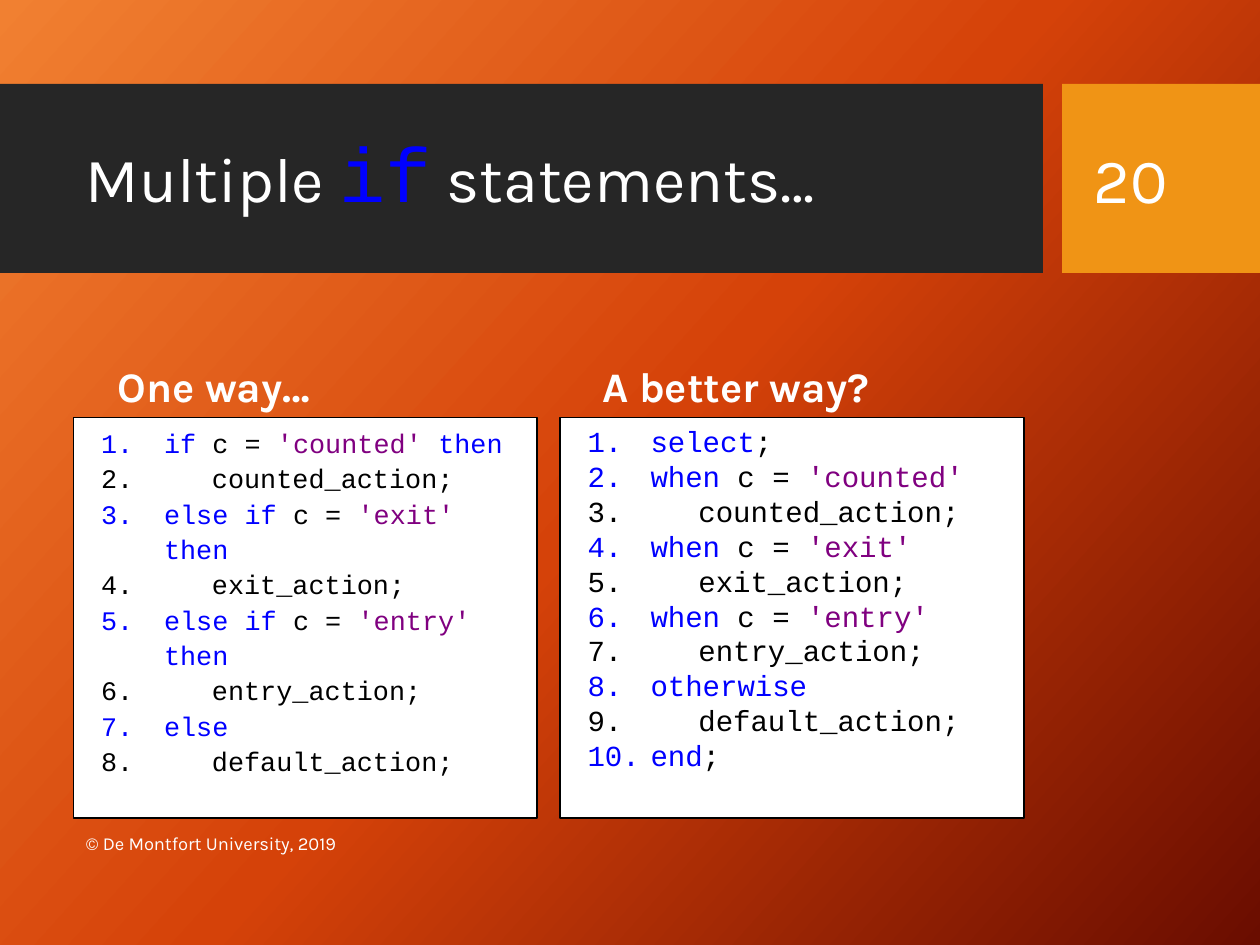
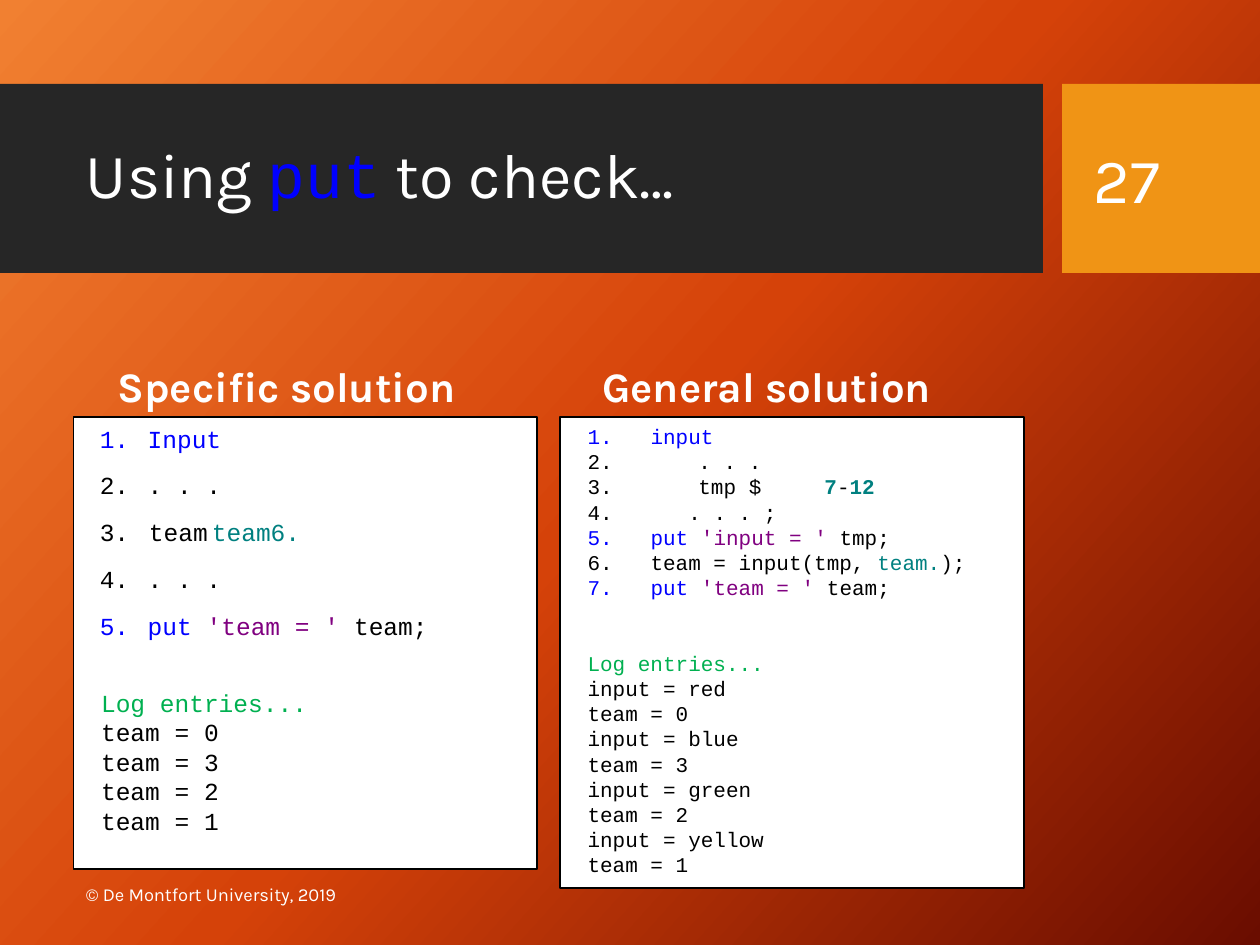
from copy import deepcopy

from lxml.etree import SubElement
from pptx import Presentation
from pptx.dml.color import RGBColor
from pptx.enum.shapes import MSO_SHAPE as Shape
from pptx.enum.text import MSO_ANCHOR as Anchor, PP_ALIGN as Align
from pptx.oxml.ns import qn
from pptx.util import Pt

GLOW = RGBColor(0xF1, 0x80, 0x31)
FLAME = RGBColor(0xD5, 0x42, 0x09)
EMBER = RGBColor(0x6A, 0x0D, 0x00)
CHARCOAL = RGBColor(0x26, 0x26, 0x26)
AMBER = RGBColor(0xF0, 0x94, 0x15)
WHITE = RGBColor(0xFF, 0xFF, 0xFF)
BLACK = RGBColor(0x00, 0x00, 0x00)
BLUE = RGBColor(0x00, 0x00, 0xFF)
PURPLE = RGBColor(0x80, 0x00, 0x80)
TEAL = RGBColor(0x00, 0x80, 0x80)
GREEN = RGBColor(0x00, 0xB0, 0x50)

TEXT_FONT = "Karla"
CODE_FONT = "Courier New"

BAND = (0, 48, 596, 108)
NUMBER_BOX = (607, 48, 113, 108)
PANEL_LEFTS = (42, 320)
PANEL_TOP = 238.5
PANEL_WIDTH = 265
LOG_INDENT = 8.64


def keyword(text):
    return text, BLUE


def plain(text):
    return text, BLACK


def literal(text):
    return text, PURPLE


def informat(text, bold=False):
    return text, TEAL, bold


def add_run(paragraph, text, size, color, font=TEXT_FONT, bold=False):
    run = paragraph.add_run()
    run.text = text
    run.font.size = Pt(size)
    run.font.name = font
    run.font.bold = bold
    run.font.color.rgb = color


def add_rectangle(slide, box, fill, line=None):
    rectangle = slide.shapes.add_shape(Shape.RECTANGLE, *map(Pt, box))
    rectangle.shadow.inherit = False
    rectangle.fill.solid()
    rectangle.fill.fore_color.rgb = fill
    if line is None:
        rectangle.line.fill.background()
    else:
        rectangle.line.color.rgb = line
        rectangle.line.width = Pt(1)
    return rectangle


def add_text_box(slide, box, anchor=Anchor.MIDDLE):
    """Add an empty wrapping text box and return its first paragraph."""
    text_frame = slide.shapes.add_textbox(*map(Pt, box)).text_frame
    text_frame.word_wrap = True
    text_frame.vertical_anchor = anchor
    return text_frame.paragraphs[0]


def set_background(slide):
    fill = slide.background.fill
    fill.gradient()
    fill.gradient_angle = 318
    first = slide.element.find(".//" + qn("a:gs"))
    first.addnext(deepcopy(first))
    stops = zip(fill.gradient_stops, (0, 0.5, 1), (GLOW, FLAME, EMBER))
    for stop, position, color in stops:
        stop.position = position
        stop.color.rgb = color


def add_header(slide, before, code, after, number, code_size):
    """Add the title band, with one code word in the title, and the slide number."""
    add_rectangle(slide, BAND, CHARCOAL)
    add_rectangle(slide, NUMBER_BOX, AMBER)
    left, top, width, height = BAND
    title = add_text_box(slide, (left + 42, top + 11, width - 53, height - 23))
    title.line_spacing = 0.9
    add_run(title, before, 36, WHITE)
    add_run(title, code, code_size, BLUE, CODE_FONT)
    add_run(title, after, 36, WHITE)
    left, top, width, height = NUMBER_BOX
    page = add_text_box(slide, (left + 11, top + 11, width - 22, height - 22))
    add_run(page, number, 36, WHITE)


def add_heading(slide, left, text):
    heading = add_text_box(slide, (left, 184, 248, 55), Anchor.BOTTOM)
    heading.line_spacing = 0.9
    add_run(heading, text, 24, WHITE, bold=True)


def set_indent(paragraph, margin, hanging):
    properties = paragraph._p.get_or_add_pPr()
    properties.set("marL", str(Pt(margin)))
    properties.set("indent", str(Pt(-hanging)))
    return properties


def add_code_panel(slide, left, height, size, code, log=(), margin=44.64,
                   hanging=36, line_spacing=1, gap=0, log_gap=0, shifts=None):
    """Add numbered code, then log lines; shifts maps a line index to extra indent."""
    panel = add_rectangle(slide, (left, PANEL_TOP, PANEL_WIDTH, height), WHITE, BLACK)
    text_frame = panel.text_frame
    text_frame.word_wrap = True
    text_frame.vertical_anchor = Anchor.TOP
    for index, runs in enumerate([*code, *log]):
        paragraph = text_frame.paragraphs[0] if index == 0 else text_frame.add_paragraph()
        paragraph.alignment = Align.LEFT
        paragraph.line_spacing = line_spacing
        if index < len(code):
            paragraph.space_before = Pt(gap)
            shift = (shifts or {}).get(index, 0)
            properties = set_indent(paragraph, margin + shift, hanging + shift)
            SubElement(properties, qn("a:buFont"), typeface=CODE_FONT)
            SubElement(properties, qn("a:buAutoNum"), type="arabicPeriod")
        else:
            paragraph.space_before = Pt(log_gap if index == len(code) else 0)
            set_indent(paragraph, LOG_INDENT, 0)
        for text, color, *bold in runs:
            add_run(paragraph, text, size, color, CODE_FONT, any(bold))


def add_copyright(slide, top):
    footer = add_text_box(slide, (42, top, 381, 29))
    add_run(footer, "© De Montfort University, 2019", 10.5, WHITE)


def add_comparison_slide(presentation, title, number, headings, panels, code_size=36):
    """Add a slide with two headed code panels side by side."""
    slide = presentation.slides.add_slide(presentation.slide_layouts[6])
    set_background(slide)
    add_header(slide, *title, number, code_size)
    for left, text in zip((60, 337), headings):
        add_heading(slide, left, text)
    for left, panel in zip(PANEL_LEFTS, panels):
        add_code_panel(slide, left, **panel)
    add_copyright(slide, PANEL_TOP + panels[0]["height"])


def action(name):
    return [plain(f"\t{name}_action;")]


def if_test(start, value):
    return [keyword(start), plain(" c = "), literal(f"'{value}' "), keyword("then")]


def when_test(value):
    return [keyword("when"), plain(" c = "), literal(f"'{value}'")]


def put_line(name):
    return [keyword("put "), literal(f"'{name} = '")]


def log_lines(*entries):
    return [[("Log entries...", GREEN)], *([plain(entry)] for entry in entries)]


IF_CHAIN = dict(
    height=229, size=15.3, line_spacing=1.1,
    code=[
        if_test("if", "counted"), action("counted"),
        if_test("else if", "exit"), action("exit"),
        if_test("else if", "entry"), action("entry"),
        [keyword("else")], action("default"),
    ],
)
SELECT_BLOCK = dict(
    height=229, size=16.6,
    code=[
        [keyword("select"), plain(";")],
        when_test("counted"), action("counted"),
        when_test("exit"), action("exit"),
        when_test("entry"), action("entry"),
        [keyword("otherwise")], action("default"),
        [keyword("end"), plain(";")],
    ],
)
SPECIFIC_SOLUTION = dict(
    height=258, size=14, margin=35.28, hanging=27.36, gap=10, log_gap=27,
    code=[
        [keyword("Input")],
        [plain(". . .")],
        [plain("\tteam\t"), informat("team6.")],
        [plain(". . .")],
        [*put_line("team"), plain(" team;")],
    ],
    log=log_lines("team = 0", "team = 3", "team = 2", "team = 1"),
)
GENERAL_SOLUTION = dict(
    height=269, size=12, log_gap=28.8, shifts={3: 21.6},
    code=[
        [keyword("input")],
        [plain("\t. . .")],
        [plain("\ttmp $\t"), informat("7", True), plain("-"), informat("12", True)],
        [plain(". . . ;")],
        [*put_line("input"), plain(" tmp;")],
        [plain("team = input(tmp, "), informat("team."), plain(");")],
        [*put_line("team"), plain(" team;")],
    ],
    log=log_lines("input = red", "team = 0", "input = blue", "team = 3",
                  "input = green", "team = 2", "input = yellow", "team = 1"),
)


def main():
    presentation = Presentation()
    presentation.slide_width = Pt(720)
    presentation.slide_height = Pt(540)
    add_comparison_slide(presentation, ("Multiple ", "if", " statements…"), "20",
                         ("One way…", "A better way?"),
                         (IF_CHAIN, SELECT_BLOCK), code_size=44)
    add_comparison_slide(presentation, ("Using ", "put", " to check…"), "27",
                         ("Specific solution", "General solution"),
                         (SPECIFIC_SOLUTION, GENERAL_SOLUTION))
    presentation.save("out.pptx")


if __name__ == "__main__":
    main()
